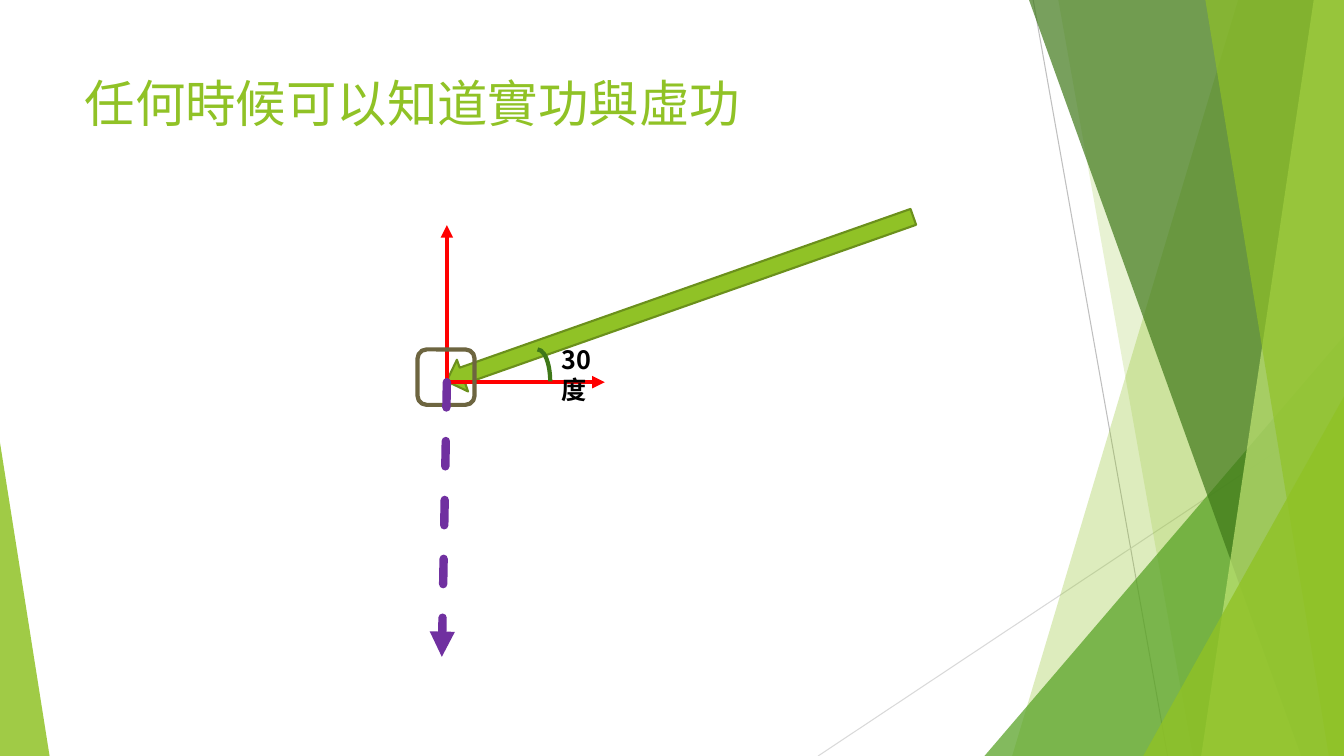
from dataclasses import dataclass

from lxml.etree import SubElement
from pptx import Presentation
from pptx.dml.color import RGBColor
from pptx.enum.dml import MSO_LINE
from pptx.enum.shapes import MSO_CONNECTOR, MSO_SHAPE
from pptx.enum.text import MSO_ANCHOR
from pptx.oxml.ns import qn
from pptx.util import Inches, Pt

COLUMNS, ROWS = 160, 90
CELL = Inches(13.333) / COLUMNS
GREEN, DARK_GREEN, RED, PURPLE = "90C226", "3F7819", "FF0000", "7030A0"


@dataclass
class Box:
    """A region of the slide, in grid columns and rows."""
    left: float
    top: float
    width: float
    height: float

    def point(self, column, row):
        """Turn a grid place inside the box into slide units."""
        return round((self.left + column) * CELL), round((self.top + row) * CELL)

    def area(self, column, row, width, height):
        """Turn a grid area inside the box into left, top, width, height."""
        return *self.point(column, row), round(width * CELL), round(height * CELL)


def color(hex_text):
    """Read a colour from its hex string."""
    return RGBColor.from_string(hex_text)


def style(shape, fill=None, opacity=100, line=None, weight=0):
    """Set fill, opacity and outline of a shape, without a shadow."""
    shape.shadow.inherit = False
    if fill:
        shape.fill.solid()
        shape.fill.fore_color.rgb = color(fill)
        if opacity < 100:
            solid = shape.element.spPr.find(qn("a:solidFill"))
            SubElement(solid[0], qn("a:alpha")).set("val", str(opacity * 1000))
    else:
        shape.fill.background()
    if line:
        shape.line.color.rgb = color(line)
        shape.line.width = Pt(weight)
    else:
        shape.line.fill.background()


def add_preset(slide, box, kind, area, **look):
    """Add a styled preset shape inside the box."""
    shape = slide.shapes.add_shape(kind, *box.area(*area))
    style(shape, **look)
    return shape


def add_line(slide, box, start, end, line, weight, arrow=False, dashed=False):
    """Add a straight line, optionally dashed or with an arrowhead."""
    connector = slide.shapes.add_connector(
        MSO_CONNECTOR.STRAIGHT, *box.point(*start), *box.point(*end))
    connector.line.color.rgb = color(line)
    connector.line.width = Pt(weight)
    if dashed:
        connector.line.dash_style = MSO_LINE.DASH
        connector.line._ln.set("cap", "rnd")
    if arrow:
        SubElement(connector.line._ln, qn("a:tailEnd")).set("type", "triangle")
    SubElement(connector.element.spPr, qn("a:effectLst"))


def add_text(slide, box, area, text, size, font, text_color, bold=False):
    """Add a wrapped, top-aligned line of text."""
    frame = slide.shapes.add_textbox(*box.area(*area)).text_frame
    frame.word_wrap = True
    frame.vertical_anchor = MSO_ANCHOR.TOP
    frame.text = text
    run_font = frame.paragraphs[0].runs[0].font
    run_font.size, run_font.name, run_font.bold = Pt(size), font, bold
    run_font.color.rgb = color(text_color)


def add_facet(slide, box, top_left, bottom_left, fill, opacity):
    """Add a facet with a slanted left side that reaches the right edge."""
    builder = slide.shapes.build_freeform(*box.point(top_left, 0), scale=1.0)
    corners = [(box.width, 0), (box.width, box.height), (bottom_left, box.height)]
    builder.add_line_segments([box.point(*corner) for corner in corners])
    style(builder.convert_to_shape(), fill, opacity)


def add_wedge(slide, box, left, right, top, apex, fill, opacity):
    """Add a right triangle that stands on the bottom edge."""
    area = (left, top, right - left, box.height - top)
    wedge = add_preset(slide, box, MSO_SHAPE.ISOSCELES_TRIANGLE, area,
                       fill=fill, opacity=opacity)
    wedge.adjustments[0] = apex


def draw_backdrop(slide, box):
    """Draw the thin lines and the translucent facets."""
    right = box.width
    add_line(slide, box, (123, 0), (139, box.height), "BFBFBF", 0.75)
    add_line(slide, box, (right, 48.4), (97.4, box.height), "D9D9D9", 0.75)
    add_facet(slide, box, 147.4, 120.5, GREEN, 30)
    add_facet(slide, box, 126, 142, GREEN, 20)
    add_wedge(slide, box, 117.2, right, 40, 1, "54A021", 72)
    add_facet(slide, box, 122.5, 154.9, DARK_GREEN, 70)
    add_facet(slide, box, 156.4, 143, "C0E474", 70)
    add_facet(slide, box, 143.5, 158.2, GREEN, 65)
    add_wedge(slide, box, 136.1, right, 47.2, 1, GREEN, 80)
    add_wedge(slide, box, 0, 5.9, 52.7, 0, GREEN, 85)


def draw_title(slide, box):
    """Write the title."""
    add_text(slide, box, (0, 0, box.width, box.height),
             "任何時候可以知道實功與虛功", 36, "Lato", GREEN)


def draw_force_diagram(slide, box):
    """Draw the body, its axes, the slanted force and the downward arrow."""
    origin = (3.5, 20.9)
    force = add_preset(slide, box, MSO_SHAPE.RIGHT_ARROW, (1.8, 9, 58.9, 4),
                       fill=GREEN, line="6B901C", weight=1.5)
    force.rotation = 160.6
    for axis_end in [(22.3, origin[1]), (origin[0], 2.2)]:
        add_line(slide, box, origin, axis_end, RED, 3, arrow=True)
    add_preset(slide, box, MSO_SHAPE.ROUNDED_RECTANGLE, (0, 17, 6.8, 6.6),
               line="6D6540", weight=3)
    add_preset(slide, box, MSO_SHAPE.ARC, (12.8, 17, 3, 7.6),
               line=DARK_GREEN, weight=3)
    add_text(slide, box, (16, 15.8, 8.4, 4.8), "30度", 18,
             "Noto Sans CJK SC", "000000", bold=True)
    add_line(slide, box, origin, (2.9, 53.6), PURPLE, 6, arrow=True, dashed=True)


def main():
    """Build and save the slide."""
    presentation = Presentation()
    presentation.slide_width = round(COLUMNS * CELL)
    presentation.slide_height = round(ROWS * CELL)
    slide = presentation.slides.add_slide(presentation.slide_layouts[6])
    draw_backdrop(slide, Box(0, 0, COLUMNS, ROWS))
    draw_title(slide, Box(8.9, 8, 112.8, 17.3))
    draw_force_diagram(slide, Box(49.7, 24.6, 61, 54))
    presentation.save("out.pptx")


main()
